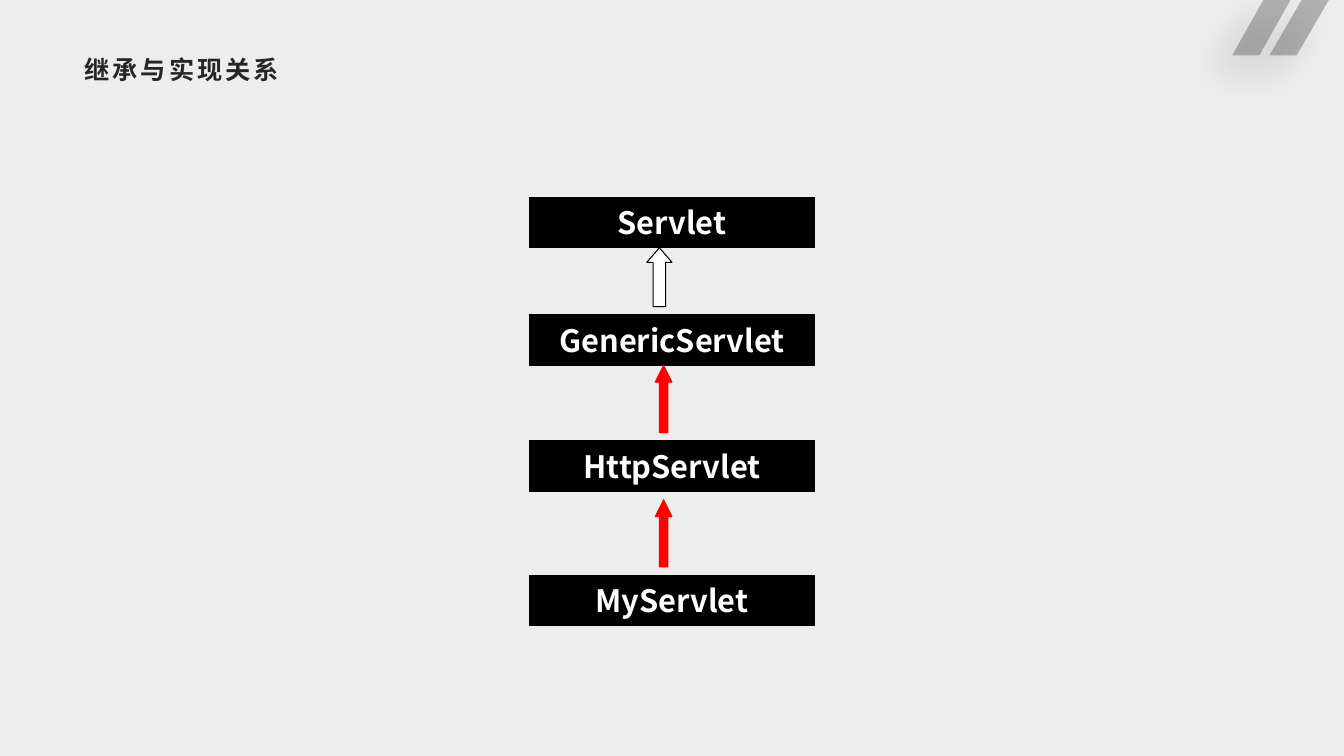
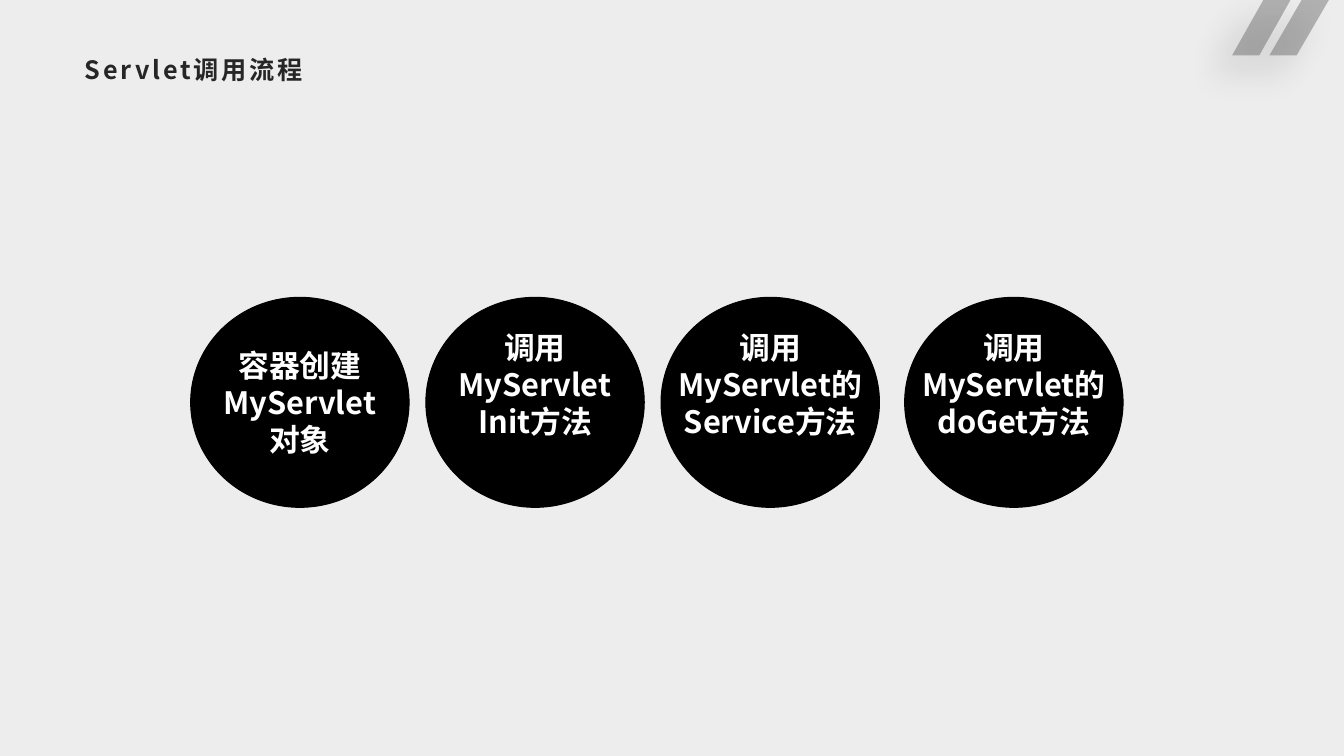
import pptx
import pptx.dml.color
import pptx.enum.shapes
import pptx.enum.text
import pptx.oxml
import pptx.oxml.ns
import pptx.util

COLOURS = {
    "background": "EDEDED",
    "title": "262626",
    "block": "000000",
    "text": "FFFFFF",
    "implements": "FFFFFF",
    "extends": "FF0000",
}
FONT = "Noto Sans CJK SC"
LINE_PITCH = 1.2
NAMESPACE = pptx.oxml.ns.nsdecls("a")
SHAPES = pptx.enum.shapes.MSO_SHAPE
ALIGN = pptx.enum.text.PP_ALIGN
ANCHOR = pptx.enum.text.MSO_ANCHOR

presentation = pptx.Presentation()
presentation.slide_width = pptx.util.Inches(13.33)
presentation.slide_height = pptx.util.Inches(7.5)

# Grid: 160 columns by 90 rows of square cells
COLUMN = presentation.slide_width / 160
ROW = presentation.slide_height / 90


def write_lines(shape, lines, size, colour, align):
    """Fill a shape with one bold paragraph per line."""
    frame = shape.text_frame
    frame.text = "\n".join(lines)
    for paragraph in frame.paragraphs:
        paragraph.alignment = align
        paragraph.line_spacing = pptx.util.Pt(size * LINE_PITCH)
        font = paragraph.font
        font.name = FONT
        font.size = pptx.util.Pt(size)
        font.bold = True
        font.color.rgb = pptx.dml.color.RGBColor.from_string(COLOURS[colour])
        font._element.append(pptx.oxml.parse_xml(f'<a:ea {NAMESPACE} typeface="{FONT}"/>'))


def add_block(slide, kind, column, row, columns, rows, fill="block", lines=()):
    """Place an outlined shape on the grid, with centred lines if there are any."""
    shape = slide.shapes.add_shape(
        kind, round(column * COLUMN), round(row * ROW), round(columns * COLUMN), round(rows * ROW))
    shape.shadow.inherit = False
    shape.fill.solid()
    shape.fill.fore_color.rgb = pptx.dml.color.RGBColor.from_string(COLOURS[fill])
    shape.line.color.rgb = pptx.dml.color.RGBColor.from_string(COLOURS["block"])
    shape.line.width = pptx.util.Pt(0.75)
    if lines:
        shape.text_frame.word_wrap = False
        shape.text_frame.vertical_anchor = ANCHOR.MIDDLE
        write_lines(shape, lines, 22, "text", ALIGN.CENTER)
    return shape


# Shared background
background = presentation.slide_master.background.fill
background.solid()
background.fore_color.rgb = pptx.dml.color.RGBColor.from_string(COLOURS["background"])

# Slides with their titles
layout = presentation.slide_layouts.get_by_name("Title Only")
slides = []
for title_text in ("继承与实现关系", "Servlet调用流程"):
    slide = presentation.slides.add_slide(layout)
    title = slide.shapes.title
    title.left, title.top = round(8.8 * COLUMN), round(6 * ROW)
    title.width, title.height = round(142.4 * COLUMN), round(5.75 * ROW)
    frame = title.text_frame
    frame.margin_left, frame.margin_right = pptx.util.Inches(0.11), pptx.util.Inches(0.08)
    frame.margin_top = frame.margin_bottom = pptx.util.Inches(0.04)
    frame.vertical_anchor = ANCHOR.TOP
    frame.auto_size = pptx.enum.text.MSO_AUTO_SIZE.NONE
    write_lines(title, [title_text], 18, "title", ALIGN.LEFT)
    frame.paragraphs[0].font._element.set("spc", "200")
    slides.append(slide)
hierarchy_slide, flow_slide = slides

# Corner stripes: drawn once, then moved to the shared layout
builder = hierarchy_slide.shapes.build_freeform(1291, 0, scale=pptx.util.Inches(0.01))
builder.add_line_segments([(1318, 0), (1286, 55), (1259, 55)])
builder.move_to(1253, 0)
builder.add_line_segments([(1280, 0), (1249, 55), (1222, 55)])
stripes = builder.convert_to_shape()
stripes.line.fill.background()
stripes.fill.solid()
stripes.fill.fore_color.rgb = pptx.dml.color.RGBColor.from_string(COLOURS["title"])
stripe_colour = stripes._element.spPr.find(".//" + pptx.oxml.ns.qn("a:srgbClr"))
stripe_colour.append(pptx.oxml.parse_xml(f'<a:alpha {NAMESPACE} val="30000"/>'))
stripes._element.spPr.append(pptx.oxml.parse_xml(
    f'<a:effectLst {NAMESPACE}><a:outerShdw blurRad="{pptx.util.Pt(26)}" dist="{pptx.util.Pt(19)}"'
    f' dir="{135 * 60000}" algn="tr" rotWithShape="0"><a:srgbClr val="{COLOURS["block"]}">'
    '<a:alpha val="40000"/></a:srgbClr></a:outerShdw></a:effectLst>'))
layout.shapes._spTree.append(stripes._element)

# Class hierarchy, from interface down to the custom class
for class_name, row in (("Servlet", 23.5), ("GenericServlet", 37.5),
                        ("HttpServlet", 52.5), ("MyServlet", 68.5)):
    add_block(hierarchy_slide, SHAPES.RECTANGLE, 63, row, 34, 6, lines=[class_name])

# Arrows from each class to its parent
for relation, column, row, columns, rows, head in (
        ("implements", 77, 29.5, 3, 7, 0.58),
        ("extends", 78, 43.5, 2, 8, 1),
        ("extends", 78, 59.5, 2, 8, 1)):
    arrow = add_block(hierarchy_slide, SHAPES.UP_ARROW, column, row, columns, rows, relation)
    arrow.adjustments[0] = 0.5
    arrow.adjustments[1] = head
    if relation == "extends":
        arrow.line.color.rgb = pptx.dml.color.RGBColor.from_string(COLOURS["extends"])

# Call flow: the calls sit half a line above the circle's middle
for column, lines, raised in (
        (22.7, ["容器创建", "MyServlet", "对象"], False),
        (50.7, ["调用", "MyServlet", "Init方法"], True),
        (78.7, ["调用", "MyServlet的", "Service方法"], True),
        (107.7, ["调用", "MyServlet的", "doGet方法"], True)):
    circle = add_block(flow_slide, SHAPES.OVAL, column, 35.4, 26, 25, lines=lines)
    if raised:
        circle.text_frame.margin_bottom += pptx.util.Pt(22 * LINE_PITCH)

presentation.save("out.pptx")
